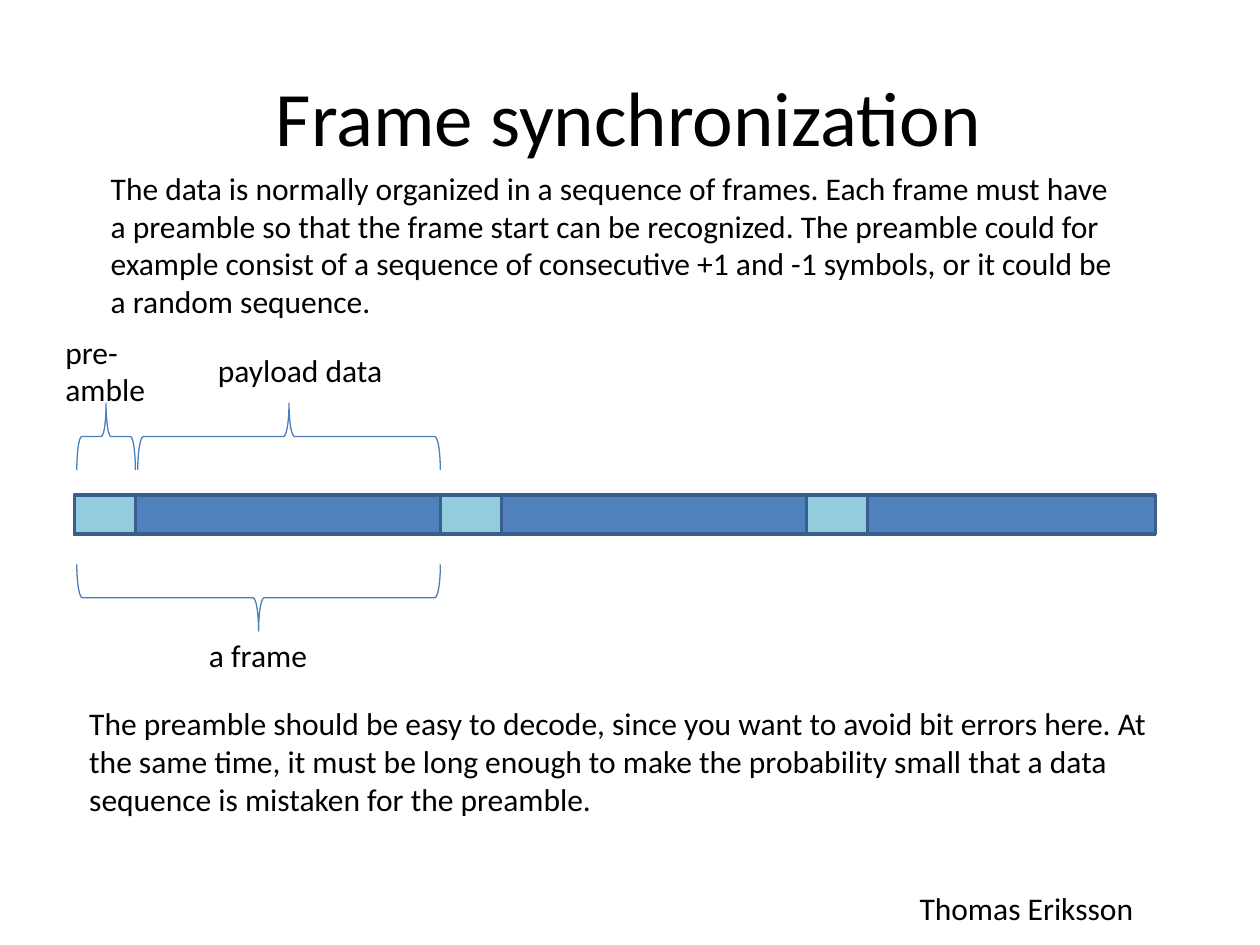
from dataclasses import dataclass

from pptx import Presentation
from pptx.dml.color import RGBColor
from pptx.enum.shapes import MSO_SHAPE
from pptx.enum.text import MSO_ANCHOR, PP_ALIGN
from pptx.util import Inches, Pt

RECT = MSO_SHAPE.RECTANGLE
BRACE = MSO_SHAPE.RIGHT_BRACE
MIDDLE = MSO_ANCHOR.MIDDLE
CENTER = PP_ALIGN.CENTER

FONT = "Calibri"
COLORS = {
    "text": "000000",
    "payload": "4F81BD",
    "preamble": "93CDDD",
    "outline": "3A5F8C",
    "brace": "4B7EBC",
}

# Frame grid in inches: a frame is six columns, its preamble the first one
LEFT = 0.59
FRAME_COLS = 6
COL = (6.4 - LEFT) / (2 * FRAME_COLS)
BAR_COLS = 17.72
BAR_TOP, BAR_HEIGHT = 3.93, 0.31
BRACE_DEPTH = 0.53


@dataclass
class Label:
    text: str
    left: float
    top: float
    width: float
    height: float
    wrap: bool = True


@dataclass
class Brace:
    start: float  # column
    end: float  # column
    top: float
    rotation: int


LABELS = [
    Label("Thomas Eriksson", 7.2, 7.01, 1.97, 0.4, False),
    Label("The data is normally organized in a sequence of frames. Each frame "
          "must have a preamble so that the frame start can be recognized. The "
          "preamble could for example consist of a sequence of consecutive +1 "
          "and -1 symbols, or it could be a random sequence.",
          0.78, 1.29, 8.19, 1.31),
    Label("a frame", 1.56, 5, 0.99, 0.4, False),
    Label("pre-amble", 0.42, 2.59, 0.85, 0.71),
    Label("payload data", 1.63, 2.74, 1.52, 0.4, False),
    Label("The preamble should be easy to decode, since you want to avoid bit "
          "errors here. At the same time, it must be long enough to make the "
          "probability small that a data sequence is mistaken for the preamble.",
          0.61, 5.54, 8.97, 1.01),
]
BRACES = [
    Brace(0.04, FRAME_COLS, 4.48, 90),
    Brace(0.04, 1, 3.2, 270),
    Brace(1.04, FRAME_COLS, 3.2, 270),
]


def color(name: str) -> RGBColor:
    return RGBColor.from_string(COLORS[name])


def col_x(col: float) -> float:
    return LEFT + col * COL


def style_text(p, size: int) -> None:
    p.font.name = FONT
    p.font.size = Pt(size)
    p.font.color.rgb = color("text")


def add_label(slide, label: Label) -> None:
    sp = slide.shapes.add_textbox(Inches(label.left), Inches(label.top),
                                  Inches(label.width), Inches(label.height))
    tf = sp.text_frame
    tf.word_wrap = label.wrap
    tf.text = label.text
    style_text(tf.paragraphs[0], 18)


def add_block(slide, start: float, cols: float, fill: str) -> None:
    sp = slide.shapes.add_shape(RECT, Inches(col_x(start)), Inches(BAR_TOP),
                                Inches(cols * COL), Inches(BAR_HEIGHT))
    sp.shadow.inherit = False
    sp.fill.solid()
    sp.fill.fore_color.rgb = color(fill)
    sp.line.color.rgb = color("outline")
    sp.line.width = Pt(2)


def add_brace(slide, brace: Brace) -> None:
    # The upright brace shares its centre with the turned one
    length = (brace.end - brace.start) * COL
    mid_x = col_x((brace.start + brace.end) / 2)
    mid_y = brace.top + BRACE_DEPTH / 2
    sp = slide.shapes.add_shape(
        BRACE, Inches(mid_x - BRACE_DEPTH / 2), Inches(mid_y - length / 2),
        Inches(BRACE_DEPTH), Inches(length))
    sp.rotation = brace.rotation
    sp.shadow.inherit = False
    sp.fill.background()
    sp.line.color.rgb = color("brace")
    sp.line.width = Pt(0.75)


def main() -> None:
    prs = Presentation()
    prs.slide_width, prs.slide_height = Inches(10), Inches(7.5)
    slide = prs.slides.add_slide(prs.slide_layouts[5])

    # Title
    title = slide.shapes.title
    title.left, title.top = Inches(0.49), Inches(0.29)
    title.width, title.height = Inches(9), Inches(1.25)
    tf = title.text_frame
    tf.text = "Frame synchronization"
    tf.vertical_anchor = MIDDLE
    tf.paragraphs[0].alignment = CENTER
    style_text(tf.paragraphs[0], 44)

    # Data stream with a preamble at each frame start
    add_block(slide, 0, BAR_COLS, "payload")
    for frame in range(3):
        add_block(slide, frame * FRAME_COLS, 1, "preamble")

    # Braces and texts
    for brace in BRACES:
        add_brace(slide, brace)
    for label in LABELS:
        add_label(slide, label)

    prs.save("out.pptx")


if __name__ == "__main__":
    main()
